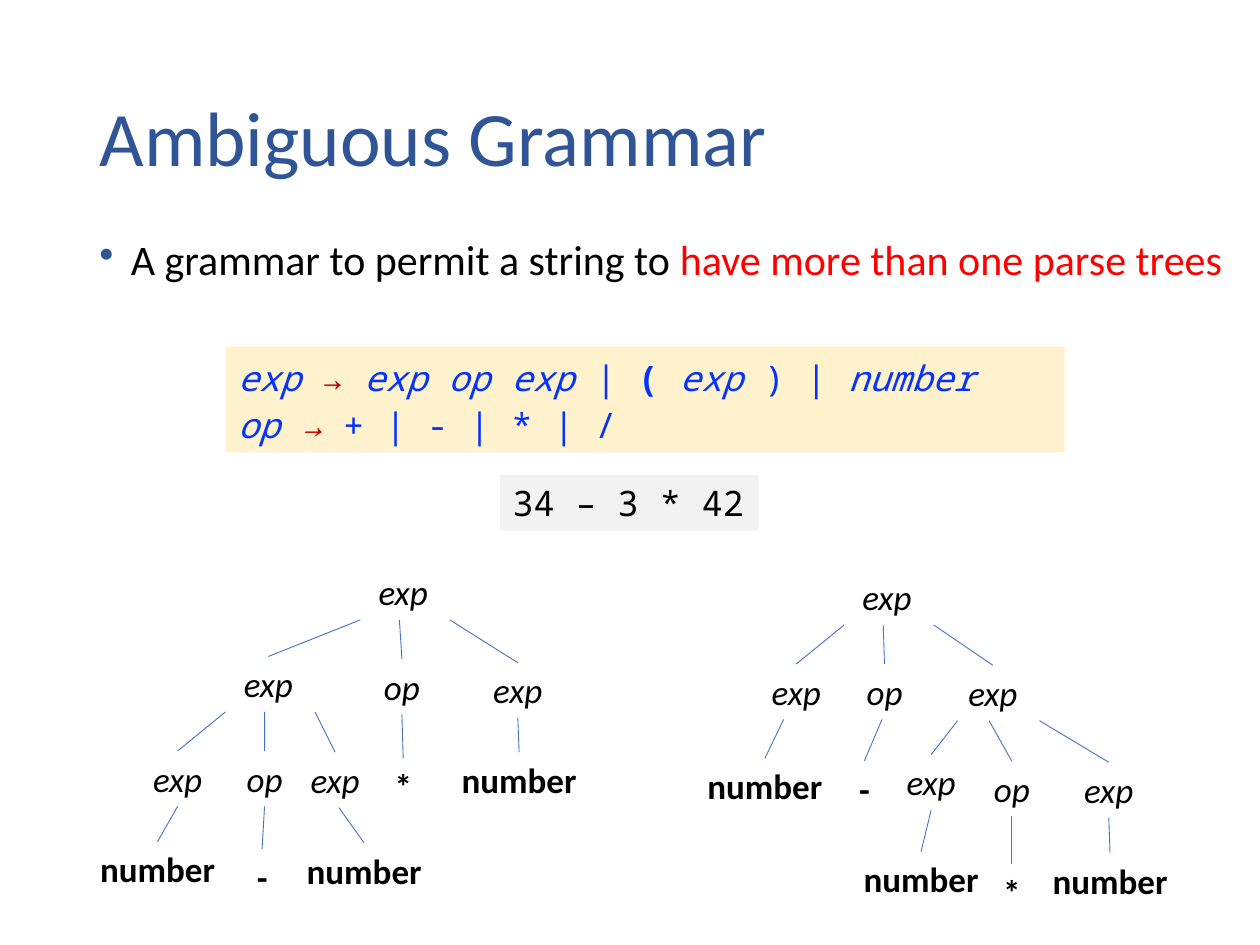
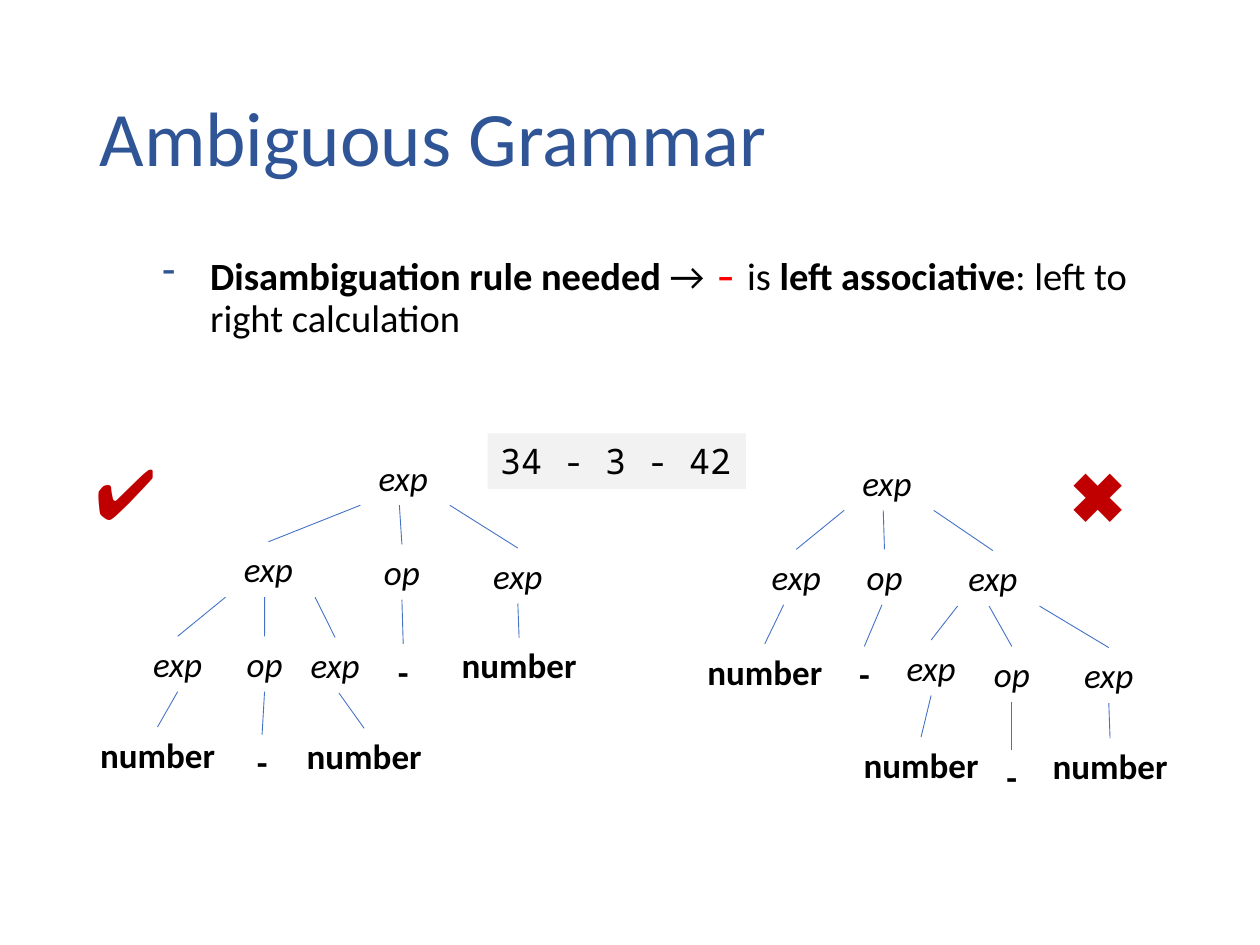
import dataclasses

import lxml.etree
import pptx
import pptx.dml.color
import pptx.enum.shapes
import pptx.enum.text
import pptx.oxml.ns
import pptx.util

Inches = pptx.util.Inches
PP_ALIGN = pptx.enum.text.PP_ALIGN
ANCHOR = pptx.enum.text.MSO_ANCHOR


@dataclasses.dataclass(frozen=True)
class Theme:
    sans: str = "Calibri"
    mono: str = "Noto Sans Mono"
    ink: str = "000000"
    heading: str = "2F5597"
    alert: str = "FF0000"
    verdict: str = "C00000"
    code: str = "0432FF"
    code_fill: str = "FFF2CC"
    input_fill: str = "F2F2F2"
    branch: str = "4472C4"
    title_size: int = 44
    verdict_size: int = 40
    body_size: int = 24
    rule_size: int = 22
    code_size: int = 20


THEME = Theme()


@dataclasses.dataclass(frozen=True)
class Node:
    """A tree symbol: centre and top inside the tree, and where its branches leave."""
    label: str
    center: float
    top: float
    children: tuple = ()
    stems: tuple = ()


FAN = (-0.34, -0.03, 0.37)
NODE_HEIGHT = 0.44
NODE_WIDTHS = {"exp": 0.59, "op": 0.59, "number": 1.12}
SYMBOL_WIDTH = 0.39


def rgb(value):
    return pptx.dml.color.RGBColor.from_string(value)


def add_bullet(paragraph, mark, left, hanging):
    properties = paragraph._p.get_or_add_pPr()
    properties.set("marL", str(Inches(left)))
    properties.set("indent", str(Inches(-hanging)))
    qn = pptx.oxml.ns.qn
    color = lxml.etree.SubElement(properties, qn("a:buClr"))
    lxml.etree.SubElement(color, qn("a:srgbClr"), val=THEME.heading)
    lxml.etree.SubElement(properties, qn("a:buChar"), char=mark)


def write_text(frame, *lines, align=PP_ALIGN.LEFT, anchor=ANCHOR.TOP, wrap=True,
               spacing=None, bullet=None, **base):
    """Fill a frame; a line is a string or a list of (text, format changes)."""
    frame.word_wrap = wrap
    frame.auto_size = pptx.enum.text.MSO_AUTO_SIZE.NONE
    frame.vertical_anchor = anchor
    for index, line in enumerate(lines):
        paragraph = frame.paragraphs[0] if index == 0 else frame.add_paragraph()
        paragraph.alignment = align
        if spacing:
            paragraph.line_spacing = spacing
        if bullet:
            add_bullet(paragraph, *bullet)
        for text, changes in [(line, {})] if isinstance(line, str) else line:
            look = {"font": THEME.sans, "size": THEME.code_size, "color": THEME.ink,
                    "bold": False, "italic": False, **base, **changes}
            run = paragraph.add_run()
            run.text = text
            run.font.name = look["font"]
            run.font.size = pptx.util.Pt(look["size"])
            run.font.bold = look["bold"]
            run.font.italic = look["italic"]
            run.font.color.rgb = rgb(look["color"])


def add_label(slide, box, *lines, **look):
    label = slide.shapes.add_textbox(*map(Inches, box))
    write_text(label.text_frame, *lines, **look)
    return label


def add_code_panel(slide, box, fill, *lines, **look):
    panel = slide.shapes.add_shape(
        pptx.enum.shapes.MSO_SHAPE.RECTANGLE, *map(Inches, box))
    panel.shadow.inherit = False
    panel.fill.solid()
    panel.fill.fore_color.rgb = rgb(fill)
    panel.line.fill.background()
    write_text(panel.text_frame, *lines, font=THEME.mono, **look)


def add_input(slide, left, top, expression):
    add_code_panel(slide, (left, top, 2.05, 0.44), THEME.input_fill, expression,
                   wrap=False)


def add_branch(slide, parent, stem, child):
    start_x = parent.left + parent.width // 2 + Inches(stem)
    branch = slide.shapes.add_connector(
        pptx.enum.shapes.MSO_CONNECTOR.STRAIGHT, start_x, parent.top + parent.height,
        child.left + child.width // 2, child.top)
    if stem == 0:
        branch.begin_connect(parent, 2)
    branch.end_connect(child, 0)
    branch.line.color.rgb = rgb(THEME.branch)
    branch.line.width = pptx.util.Pt(0.5)
    lxml.etree.SubElement(branch._element.spPr, pptx.oxml.ns.qn("a:effectLst"))


def add_tree(slide, left, top, node):
    """Draw a node and everything below it; return the node's label."""
    width = NODE_WIDTHS.get(node.label, SYMBOL_WIDTH)
    inner = node.label in ("exp", "op")
    label = add_label(
        slide, (left + node.center - width / 2, top + node.top, width, NODE_HEIGHT),
        node.label, align=PP_ALIGN.CENTER, wrap=False, italic=inner, bold=not inner)
    stems = node.stems or (FAN if len(node.children) == 3 else (0,))
    for stem, child in zip(stems, node.children):
        add_branch(slide, label, stem, add_tree(slide, left, top, child))
    return label


def left_grouped_tree(first, second):
    """Tree of (number first number) second number."""
    inner = Node("exp", 1.44, 0.73, (
        Node("exp", 0.72, 1.48, (Node("number", 0.56, 2.2),)),
        Node("op", 1.41, 1.48, (Node(first, 1.39, 2.26),)),
        Node("exp", 1.97, 1.49, (Node("number", 2.2, 2.21),), (0.03,))))
    return Node("exp", 2.51, 0, (
        inner,
        Node("op", 2.5, 0.75, (Node(second, 2.51, 1.54),)),
        Node("exp", 3.42, 0.78, (Node("number", 3.43, 1.49),))))


def right_grouped_tree(first, second):
    """Tree of number first (number second number)."""
    inner = Node("exp", 2.37, 0.76, (
        Node("exp", 1.88, 1.47, (Node("number", 1.8, 2.24),)),
        Node("op", 2.52, 1.52, (Node(second, 2.52, 2.34),)),
        Node("exp", 3.29, 1.53, (Node("number", 3.3, 2.25),))), (-0.28, -0.03, 0.37))
    return Node("exp", 1.53, 0, (
        Node("exp", 0.81, 0.75, (Node("number", 0.56, 1.5),), (-0.1,)),
        Node("op", 1.51, 0.75, (Node(first, 1.35, 1.52),), (-0.02,)),
        inner))


def add_tree_pair(slide, top, first, second):
    add_tree(slide, 0.69, top, left_grouped_tree(first, second))
    add_tree(slide, 5.51, top + 0.04, right_grouped_tree(first, second))


def start_slide(deck, heading):
    slide = deck.slides.add_slide(deck.slide_layouts[5])
    title = slide.shapes.title
    title.left, title.top, title.width, title.height = map(
        Inches, (0.69, 0.4, 8.62, 1.45))
    write_text(title.text_frame, heading, anchor=ANCHOR.MIDDLE, spacing=0.9,
               size=THEME.title_size, color=THEME.heading)
    return slide


def build_definition_slide(deck):
    slide = start_slide(deck, "Ambiguous Grammar")
    add_label(slide, (0.69, 1.85, 9.31, 0.61), [
        ("A grammar to permit a string to ", {}),
        ("have more than one parse trees", {"color": THEME.alert})],
        size=THEME.body_size, spacing=0.9, bullet=("•", 0.25, 0.25))

    variable = {"italic": True}
    arrow = {"color": THEME.verdict}
    add_code_panel(
        slide, (1.79, 2.75, 6.66, 0.84), THEME.code_fill,
        [("exp ", variable), ("→ ", arrow), ("exp op exp ", variable), ("| ", {}),
         ("(", {"bold": True}), (" exp ", variable), (") |", {}),
         (" number", variable)],
        [("op ", variable), ("→ ", {**arrow, **variable}), ("+ | - | * | /", {})],
        color=THEME.code, spacing=1.1)
    add_input(slide, 3.97, 3.77, "34 – 3 * 42")
    add_tree_pair(slide, 4.48, "-", "*")


def build_rule_slide(deck):
    slide = start_slide(deck, "Ambiguous Grammar")
    strong = {"bold": True}
    add_label(slide, (0.69, 1.97, 8.63, 1.13), [
        ("Disambiguation rule needed ", strong), ("→ ", {}),
        ("-", {"font": THEME.mono, "size": THEME.body_size, "color": THEME.alert}),
        (" is ", {}), ("left associative", strong),
        (": left to right calculation", {})],
        size=THEME.rule_size, spacing=0.9, bullet=("-", 0.88, 0.38))
    add_input(slide, 3.87, 3.44, "34 - 3 - 42")
    for mark, box in (("✖️", (8.4, 3.54, 0.96, 0.77)), ("✔️", (0.66, 3.52, 0.78, 0.77))):
        add_label(slide, box, mark, size=THEME.verdict_size, color=THEME.verdict)
    add_tree_pair(slide, 3.57, "-", "-")


def main():
    deck = pptx.Presentation()
    deck.slide_width, deck.slide_height = Inches(10), Inches(7.5)
    build_definition_slide(deck)
    build_rule_slide(deck)
    deck.save("out.pptx")


if __name__ == "__main__":
    main()
